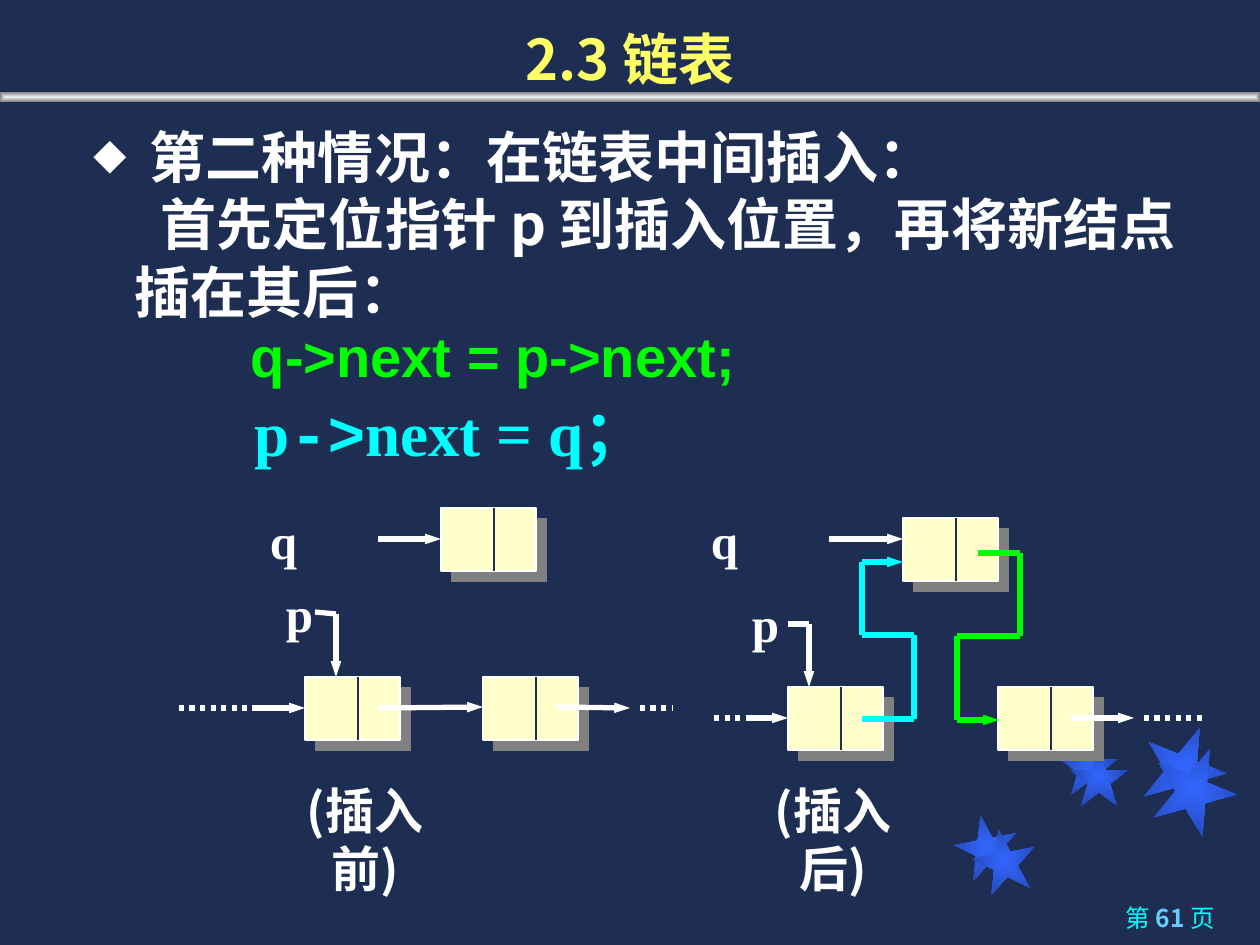
from lxml import etree
from pptx import Presentation
from pptx import util as u
from pptx.dml.color import RGBColor
from pptx.enum import dml, shapes, text
from pptx.oxml import ns

PX = 914400 / 126
HUE = {
    "back": "1E2E53", "white": "FFFFFF", "title": "FFFF66", "green": "00FF00",
    "cyan": "00FFFF", "page": "66CCFF", "node": "FFFFCC", "shade": "808080",
    "blue": "3366FF", "navy": "2449B6", "pale": "EDEDED",
}
CJK = "Noto Sans CJK SC"
TIMES = "Times New Roman"
SHAPE = shapes.MSO_SHAPE
ALIGN = text.PP_ALIGN


def px(n):
    return u.Emu(round(n * PX))


def rgb(name):
    return RGBColor.from_string(HUE[name])


def sub(parent, tag, **attrs):
    node = etree.SubElement(parent, ns.qn("a:" + tag))
    for key, val in attrs.items():
        node.set(key, str(val))
    return node


def tint(parent, name):
    return sub(parent, "srgbClr", val=HUE[name])


# Shapes
def glow(slide, kind, box, inner, outer, turn=0):
    """Borderless shape with a gradient from its centre outwards."""
    item = slide.shapes.add_shape(kind, *map(px, box))
    item.rotation = turn
    item.line.fill.background()
    item.shadow.inherit = False
    item.fill.gradient()
    grad = item.element.spPr.find(ns.qn("a:gradFill"))
    for child in list(grad):
        grad.remove(child)
    stops = sub(grad, "gsLst")
    tint(sub(stops, "gs", pos=0), inner)
    tint(sub(stops, "gs", pos=100000), outer)
    way = sub(grad, "path", path="rect" if kind == SHAPE.RECTANGLE else "shape")
    sub(way, "fillToRect", l=50000, t=50000, r=50000, b=50000)


def line(slide, start, end, hue="white", width=3, head=False, dots=False):
    item = slide.shapes.add_connector(
        shapes.MSO_CONNECTOR.STRAIGHT, *map(px, start + end))
    item.line.color.rgb = rgb(hue)
    item.line.width = u.Pt(width)
    if dots:
        item.line.dash_style = dml.MSO_LINE.ROUND_DOT
    if head:
        sub(item.line._get_or_add_ln(), "tailEnd", type="triangle", w="sm", len="med")
    sub(item.element.spPr, "effectLst")


def route(slide, points, hue="white"):
    """Chain of segments with an arrowhead on the last one."""
    last = len(points) - 2
    for i, (start, end) in enumerate(zip(points, points[1:])):
        line(slide, start, end, hue, head=i == last)


def node(slide, x, y):
    """List node: shadowed box split into data and pointer."""
    item = slide.shapes.add_shape(SHAPE.RECTANGLE, *map(px, (x, y, 95, 63)))
    item.fill.solid()
    item.fill.fore_color.rgb = rgb("node")
    item.line.color.rgb = rgb("white")
    item.line.width = u.Pt(0.75)
    cast = sub(sub(item.element.spPr, "effectLst"), "outerShdw",
               dist=u.Pt(8.5), dir=45 * 60000, algn="ctr", rotWithShape=0)
    tint(cast, "shade")
    line(slide, (x + 53, y), (x + 53, y + 63), "back", 0.75)


# Text
def frame(slide, box, pad, wrap=True):
    """Text box; pad is left, top, right, bottom."""
    tf = slide.shapes.add_textbox(*map(px, box)).text_frame
    tf.word_wrap = wrap
    tf.margin_left, tf.margin_top, tf.margin_right, tf.margin_bottom = map(px, pad)
    return tf


def style(run, size, hue, face=CJK, bold=True):
    run.font.size = u.Pt(size)
    run.font.bold = bold
    run.font.color.rgb = rgb(hue)
    run.font.name = face
    sub(run.font._element, "ea", typeface=CJK)


def label(slide, words, box, pad, size, hue="white", face=CJK, wrap=True):
    tf = frame(slide, box, pad, wrap)
    tf.text = words
    para = tf.paragraphs[0]
    para.alignment = ALIGN.CENTER
    style(para.runs[0], size, hue, face)
    return tf


def pour(para, parts):
    for words, *look in parts:
        run = para.add_run()
        run.text = words
        style(run, *look)


def body(slide):
    rows = [  # left margin, first-line indent, line height, runs
        (117, -56, 38.6, [("第二种情况：在链表中间插入：", 32, "white")]),
        (102, 26, 38.6, [("首先定位指针 p 到插入位置，再将新结点插在其后：", 32, "white")]),
        (218, 0, 36.6, [("q->next = p->next;", 32, "green", "Arial")]),
        (222, 0, 46, [("p", 36, "cyan", TIMES), ("->", 36, "cyan", "Courier New"),
                      ("next = q；", 36, "cyan", TIMES)]),
    ]
    tf = frame(slide, (20, 105, 1183, 373), (13, 17, 13, 6))
    for i, (left, first, high, parts) in enumerate(rows):
        para = tf.add_paragraph() if i else tf.paragraphs[0]
        para.line_spacing = u.Pt(high)
        props = para._p.get_or_add_pPr()
        props.set("marL", str(px(left)))
        props.set("indent", str(px(first)))
        if i == 0:
            tint(sub(props, "buClr"), "white")
            sub(props, "buSzPct", val=60000)
            sub(props, "buFont", typeface=CJK)
            sub(props, "buChar", char="◆")
        else:
            sub(props, "buNone")
        pour(para, parts)


def footer(slide):
    para = frame(slide, (897, 900, 331, 45), (13, 3, 13, 6)).paragraphs[0]
    para.alignment = ALIGN.RIGHT
    pour(para, [("第 ", 14, "cyan", CJK, False), ("61 ", 14, "page"),
                ("页", 14, "cyan", CJK, False)])


def tag(slide, words, x, y):
    label(slide, words, (x, y, 53, 72), (0, 12, 0, 0), 28, face=TIMES, wrap=False)


def caption(slide, words, x):
    tf = label(slide, words, (x, 769, 230, 76), (15, 13, 85, 8), 28)
    tf.paragraphs[0].line_spacing = u.Pt(33)


# Diagrams
def before(slide):
    for spot in ((441, 508), (483, 677), (305, 677)):
        node(slide, *spot)
    for way in (
        [(378, 539), (441, 539)], [(252, 708), (305, 708)],
        [(378, 708), (483, 707)], [(557, 707), (630, 708)],
        [(315, 612), (336, 614), (336, 677)],
    ):
        route(slide, way)
    line(slide, (179, 708), (252, 708), dots=True)
    line(slide, (640, 708), (672, 708), dots=True)
    tag(slide, "q", 257, 498)
    tag(slide, "p", 273, 571)


def after(slide):
    for spot in ((998, 687), (903, 518), (788, 687)):
        node(slide, *spot)
    for way in (
        [(1071, 718), (1134, 718)], [(829, 539), (903, 539)],
        [(746, 718), (788, 718)], [(788, 624), (809, 624), (809, 687)],
    ):
        route(slide, way)
    line(slide, (714, 718), (746, 718), dots=True)
    line(slide, (1144, 718), (1207, 718), dots=True)
    tag(slide, "q", 698, 498)
    tag(slide, "p", 739, 581)
    # New links
    route(slide, [(978, 553), (1020, 553), (1020, 636), (957, 636),
                  (957, 720), (999, 720)], "green")
    route(slide, [(862, 719), (914, 719), (914, 635), (862, 635),
                  (862, 562), (903, 562)], "cyan")


def main():
    prs = Presentation()
    prs.slide_width, prs.slide_height = px(1260), px(945)
    slide = prs.slides.add_slide(prs.slide_layouts[6])
    slide.background.fill.solid()
    slide.background.fill.fore_color.rgb = rgb("back")

    # Backdrop: star pairs and divider bar
    for x, y, size, turn in (
        (955, 815, 63, 349), (1060, 737, 58, 0), (1142, 725, 84, 22),
        (973, 829, 63, 349), (1070, 748, 58, 0), (1152, 746, 84, 22),
    ):
        glow(slide, SHAPE.STAR_5_POINT, (x, y, size, size), "blue", "navy", turn)
    glow(slide, SHAPE.RECTANGLE, (0, 92, 1260, 10), "pale", "shade")

    # Words
    footer(slide)
    head = label(slide, "2.3 链表", (0, 0, 1260, 94), (13, 6, 13, 2), 32, "title")
    head.vertical_anchor = text.MSO_ANCHOR.BOTTOM
    body(slide)

    # List before and after the insertion
    caption(slide, "(插入前)", 285)
    before(slide)
    after(slide)
    caption(slide, "(插入后)", 753)
    prs.save("out.pptx")


if __name__ == "__main__":
    main()
